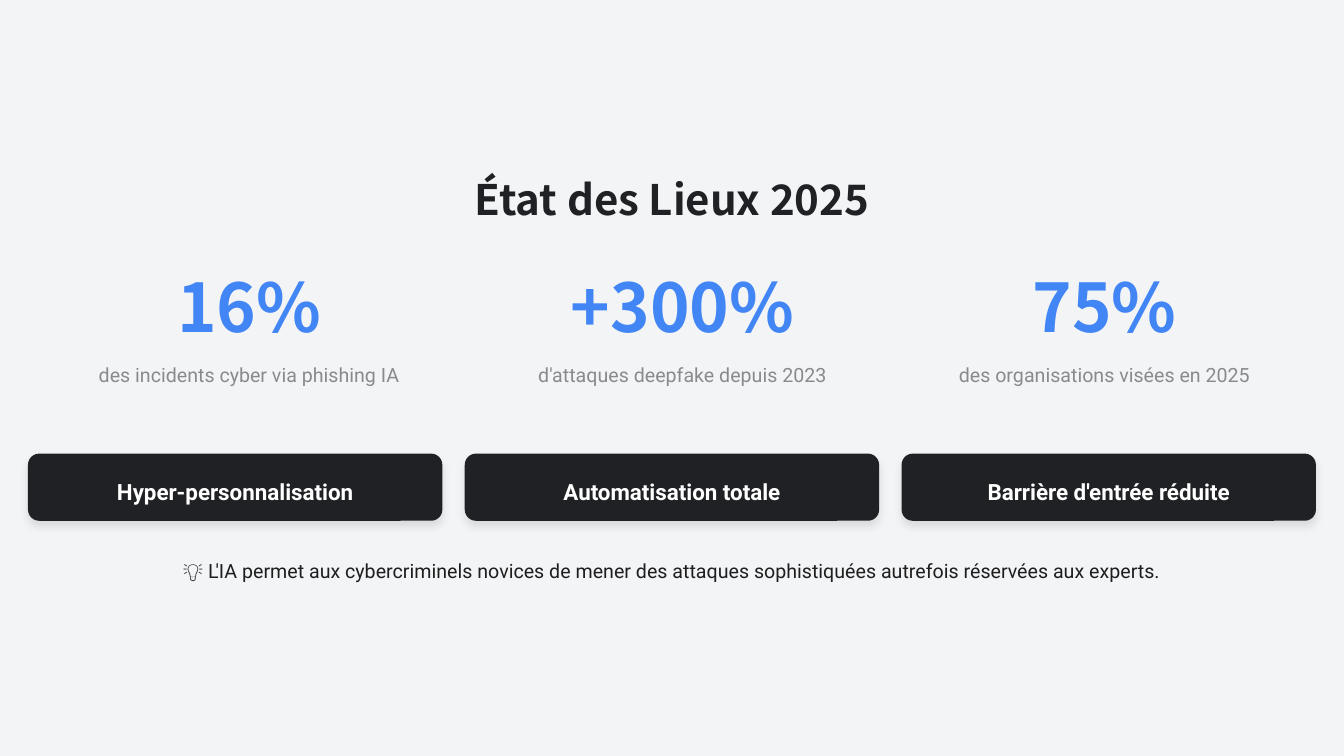
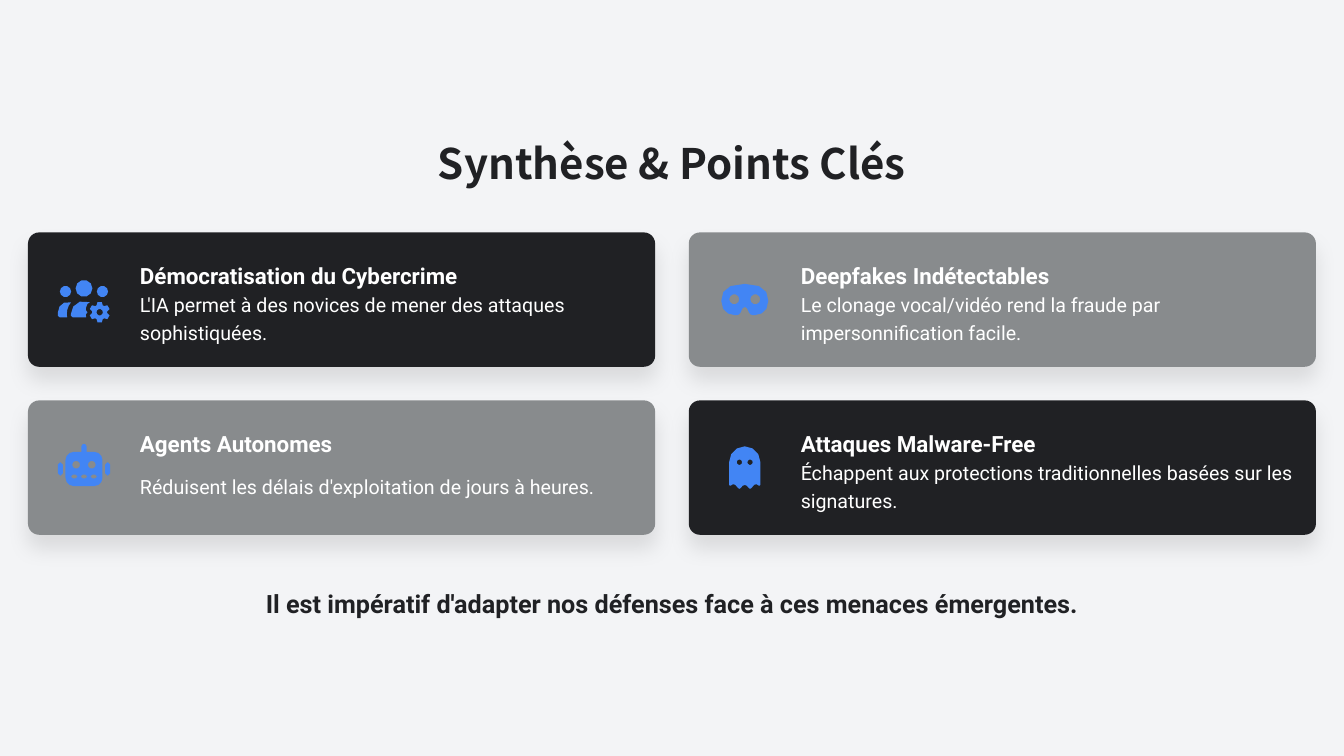
from dataclasses import dataclass
from math import cos, radians, sin
from typing import NamedTuple

from lxml.etree import SubElement
from pptx import Presentation
from pptx.dml.color import RGBColor
from pptx.enum.shapes import MSO_SHAPE as Shape
from pptx.enum.text import MSO_ANCHOR as Anchor, MSO_AUTO_SIZE as AutoSize, PP_ALIGN as Align
from pptx.oxml.ns import qn
from pptx.util import Pt

Point = tuple[float, float]
Contour = list[Point]


# Theme
@dataclass(frozen=True)
class Theme:
    background: str = "F3F4F6"
    dark: str = "202124"
    grey: str = "888B8D"
    accent: str = "4285F4"
    white: str = "FFFFFF"
    ink: str = "1E1E1E"
    heading: str = "Noto Sans CJK SC"
    body: str = "Roboto"
    title_size: int = 30
    figure_size: int = 48
    conclusion_size: int = 18
    label_size: int = 16
    text_size: int = 14
    margin: int = 20
    radius: int = 8


T = Theme()


class Style(NamedTuple):
    font: str
    size: int
    color: str
    bold: bool = False
    spacing: float = 1.0
    align: Align = Align.CENTER


TITLE = Style(T.heading, T.title_size, T.dark, True)
FIGURE = Style(T.heading, T.figure_size, T.accent, True, 0.8)
CAPTION = Style(T.body, T.text_size, T.grey, spacing=1.2)
BUTTON = Style(T.body, T.label_size, T.white, True, 1.3)
NOTE = Style(T.body, T.text_size, T.ink, spacing=1.2)
CARD_HEAD = BUTTON._replace(align=Align.LEFT)
CARD_TEXT = Style(T.body, T.text_size, T.white, spacing=1.2, align=Align.LEFT)
CONCLUSION = Style(T.body, T.conclusion_size, T.dark, True, 1.3)


class Box(NamedTuple):
    left: float
    top: float
    width: float
    height: float

    def emu(self) -> list[Pt]:
        return [Pt(v) for v in self]


class Shadow(NamedTuple):
    blur: int
    distance: int


# Text and card helpers
def write(shape, text: str, style: Style) -> None:
    tf = shape.text_frame
    frame = dict(word_wrap=True, auto_size=AutoSize.NONE, vertical_anchor=Anchor.MIDDLE,
                 margin_left=0, margin_top=0, margin_right=0, margin_bottom=0)
    for name, value in frame.items():
        setattr(tf, name, value)
    p = tf.paragraphs[0]
    p.alignment, p.line_spacing = style.align, style.spacing
    r = p.add_run()
    r.text = text
    for name, value in dict(name=style.font, size=Pt(style.size), bold=style.bold).items():
        setattr(r.font, name, value)
    r.font.color.rgb = RGBColor.from_string(style.color)


def add_text(s, box: Box, text: str, style: Style) -> None:
    write(s.shapes.add_textbox(*box.emu()), text, style)


def paint(sp, color: str) -> None:
    sp.shadow.inherit = False
    sp.fill.solid()
    sp.fill.fore_color.rgb = RGBColor.from_string(color)
    sp.line.fill.background()


def add_card(s, box: Box, color: str, shadow: Shadow) -> None:
    sp = s.shapes.add_shape(Shape.ROUNDED_RECTANGLE, *box.emu())
    sp.adjustments[0] = T.radius / box.height
    paint(sp, color)
    effects = sp._element.spPr.find(qn("a:effectLst"))
    outer = SubElement(effects, qn("a:outerShdw"), blurRad=str(Pt(shadow.blur)),
                       dist=str(Pt(shadow.distance)), dir="5400000",
                       algn="ctr", rotWithShape="0")
    tint = SubElement(outer, qn("a:srgbClr"), val="000000")
    SubElement(tint, qn("a:alpha"), val="10000")


def new_slide(prs, title: str, box: Box):
    s = prs.slides.add_slide(prs.slide_layouts[5])
    ph = s.shapes.title
    ph.left, ph.top, ph.width, ph.height = box.emu()
    write(ph, title, TITLE)
    return s


# Icon outlines, in points around the icon centre
def polar(x: float, y: float, radius: float, angle: float) -> Point:
    return x + radius * cos(radians(angle)), y + radius * sin(radians(angle))


def circle(x: float, y: float, radius: float) -> Contour:
    return [polar(x, y, radius, a) for a in range(0, 360, 36)]


def rounded(x: float, y: float, w: float, h: float, radius: float, step: int = 90) -> Contour:
    corners = [(x + w - radius, y + h - radius), (x + radius, y + h - radius),
               (x + radius, y + radius), (x + w - radius, y + radius)]
    return [polar(*corner, radius, 90 * i + a)
            for i, corner in enumerate(corners) for a in range(0, 91, step)]


def gear(x: float, y: float) -> Contour:
    tooth = ((-24, 5.4), (-12, 7.4), (12, 7.4), (24, 5.4))
    return [polar(x, y, radius, 60 * i - 90 + a) for i in range(6) for a, radius in tooth]


def outline(start: Point, *steps: tuple[float, ...]) -> Contour:
    """Follow lines (two numbers) and cubic curves (six numbers)."""
    points = [start]
    for step in steps:
        if len(step) == 2:
            points.append(step)
            continue
        nodes = [points[-1], step[:2], step[2:4], step[4:]]
        for t in (1 / 3, 2 / 3, 1):
            weights = ((1 - t) ** 3, 3 * t * (1 - t) ** 2, 3 * t * t * (1 - t), t ** 3)
            points.append(tuple(sum(w * n[k] for w, n in zip(weights, nodes)) for k in (0, 1)))
    return points


def mirrored(half: Contour) -> Contour:
    return half + [(-x, y) for x, y in reversed(half) if x]


TEAM = [
    circle(0, -8, 6), circle(-13.2, -5.8, 4), circle(13.2, -5.8, 4),
    outline((-18.7, 9.3), (-18.7, 11.5), (-17.3, 12.7), (-12, 12.7), (-12.3, 10.5),
            (-12.3, 7, -11.2, 4.2, -9.3, 2), (-14.8, 0.5, -18.7, 4.6, -18.7, 9.3)),
    outline((-9.4, 10.4), (-9.4, 11.5), (-8, 12.7), (1.5, 12.7), (1.4, 10.6), (2.5, 9),
            (1.3, 7.5), (1.5, 5.5), (2.5, 3.1), (4.2, 1.8), (-4, -1, -9.4, 4.6, -9.4, 10.4)),
    gear(11.2, 9), circle(11.2, 9, 2.3),
]
MASK = [
    mirrored(outline((0, -11.2), (-13, -11.2, -16.8, -6.2, -16.8, 1),
                     (-16.8, 7.5, -12.5, 11.2, -6.8, 11.2), (-6, 11.2),
                     (-4.2, 10.7), (-3, 9.3), (-1.6, 6.2), (0, 5.3))),
    *(circle(x, -0.2, 3.6) for x in (-7.5, 7.5)),
]
ROBOT = [
    rounded(-13.2, -11.2, 26.4, 24.4, 5.8, step=30),
    mirrored([(-1.9, -11.2), (-1.9, -15), (-1.3, -16.4), (0, -16.9)]),
    *(circle(x, -2, 2.8) for x in (-5.6, 5.6)),
    *(rounded(x - 2.2, 5, 4.4, 2.8, 1.2) for x in (-7, 0, 7)),
    *(rounded(x - 1.8, -3.7, 3.6, 9.4, 1.6) for x in (-16.9, 16.9)),
]
GHOST = [
    mirrored(outline((0, -15.2), (-6.2, -15.2, -11.2, -10, -11.2, -3.8), (-11.2, 12.2),
                     (-10.7, 13), (-9.8, 12.8), (-8.5, 11.9), (-6.8, 12.3), (-4.8, 14.6),
                     (-3.8, 15.2), (-2.9, 14.6), (-1.5, 13), (0, 12.4))),
    *(circle(x, -3.8, 1.9) for x in (-3.8, 3.8)),
]


def add_icon(s, contours: list[Contour], x: float, y: float) -> None:
    units = [[(round(px * 100), round(py * 100)) for px, py in c] for c in contours]
    builder = s.shapes.build_freeform(*units[0][0], scale=Pt(1) / 100)
    for i, (start, *rest) in enumerate(units):
        if i:
            builder.move_to(*start)
        builder.add_line_segments(rest, close=True)
    paint(builder.convert_to_shape(Pt(x), Pt(y)), T.accent)


# Slide contents
class Stat(NamedTuple):
    figure: str
    caption: str
    width: int


class KeyPoint(NamedTuple):
    head: str
    text: str
    icon: list[Contour]
    color: str


STATS = [
    Stat("16%", "des incidents cyber via phishing IA", 267),
    Stat("+300%", "d'attaques deepfake depuis 2023", 256),
    Stat("75%", "des organisations visées en 2025", 251),
]
TRENDS = ["Hyper-personnalisation", "Automatisation totale", "Barrière d'entrée réduite"]
KEY_POINTS = [
    KeyPoint("Démocratisation du Cybercrime",
             "L'IA permet à des novices de mener des attaques sophistiquées.", TEAM, T.dark),
    KeyPoint("Deepfakes Indétectables",
             "Le clonage vocal/vidéo rend la fraude par impersonnification facile.", MASK, T.grey),
    KeyPoint("Agents Autonomes",
             "Réduisent les délais d'exploitation de jours à heures.", ROBOT, T.grey),
    KeyPoint("Attaques Malware-Free",
             "Échappent aux protections traditionnelles basées sur les signatures.", GHOST, T.dark),
]


def overview_slide(prs) -> None:
    s = new_slide(prs, "État des Lieux 2025", Box(12.5, 124, 935, 36))
    # Key figures, spaced by equal gaps
    left = 44.5
    for stat in STATS:
        add_text(s, Box(left, 200, stat.width, 48), stat.figure, FIGURE)
        add_text(s, Box(left + 8, 256, stat.width - 16, 20), stat.caption, CAPTION)
        left += stat.width + 48
    # Trend buttons
    width, gap = 296, 16
    for i, trend in enumerate(TRENDS):
        x = T.margin + i * (width + gap)
        add_card(s, Box(x, 324, width, 48), T.dark, Shadow(6, 4))
        add_text(s, Box(x + 8, 336, width - 16, 24), trend, BUTTON)
    add_text(s, Box(16.5, 396, 927, 20),
             "💡 L'IA permet aux cybercriminels novices de mener des attaques "
             "sophistiquées autrefois réservées aux experts.", NOTE)


def summary_slide(prs) -> None:
    s = new_slide(prs, "Synthèse & Points Clés", Box(293, 98, 374, 36))
    # Two by two grid of key points
    width, height, gap = 448, 96, 24
    for i, point in enumerate(KEY_POINTS):
        row, col = divmod(i, 2)
        x, y = T.margin + col * (width + gap), 166 + row * (height + gap)
        add_card(s, Box(x, y, width, height), point.color, Shadow(15, 10))
        add_icon(s, point.icon, x + 40, y + height / 2)
        add_text(s, Box(x + 80, y + 16, 360, 24), point.head, CARD_HEAD)
        add_text(s, Box(x + 80, y + 40, 360, 40), point.text, CARD_TEXT)
    add_text(s, Box(144, 414, 672, 28),
             "Il est impératif d'adapter nos défenses face à ces menaces émergentes.", CONCLUSION)


def main() -> None:
    prs = Presentation()
    prs.slide_width, prs.slide_height = Pt(960), Pt(540)
    fill = prs.slide_master.background.fill
    fill.solid()
    fill.fore_color.rgb = RGBColor.from_string(T.background)
    overview_slide(prs)
    summary_slide(prs)
    prs.save("out.pptx")


if __name__ == "__main__":
    main()
